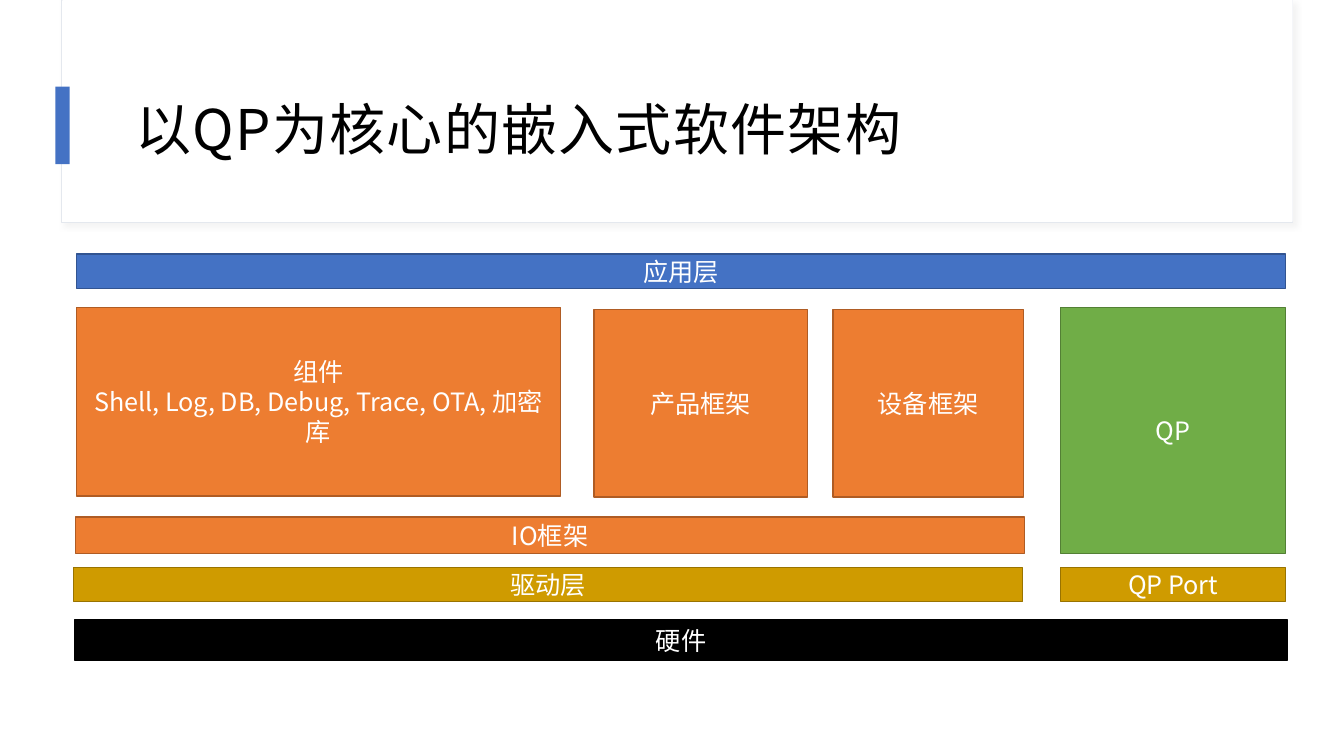
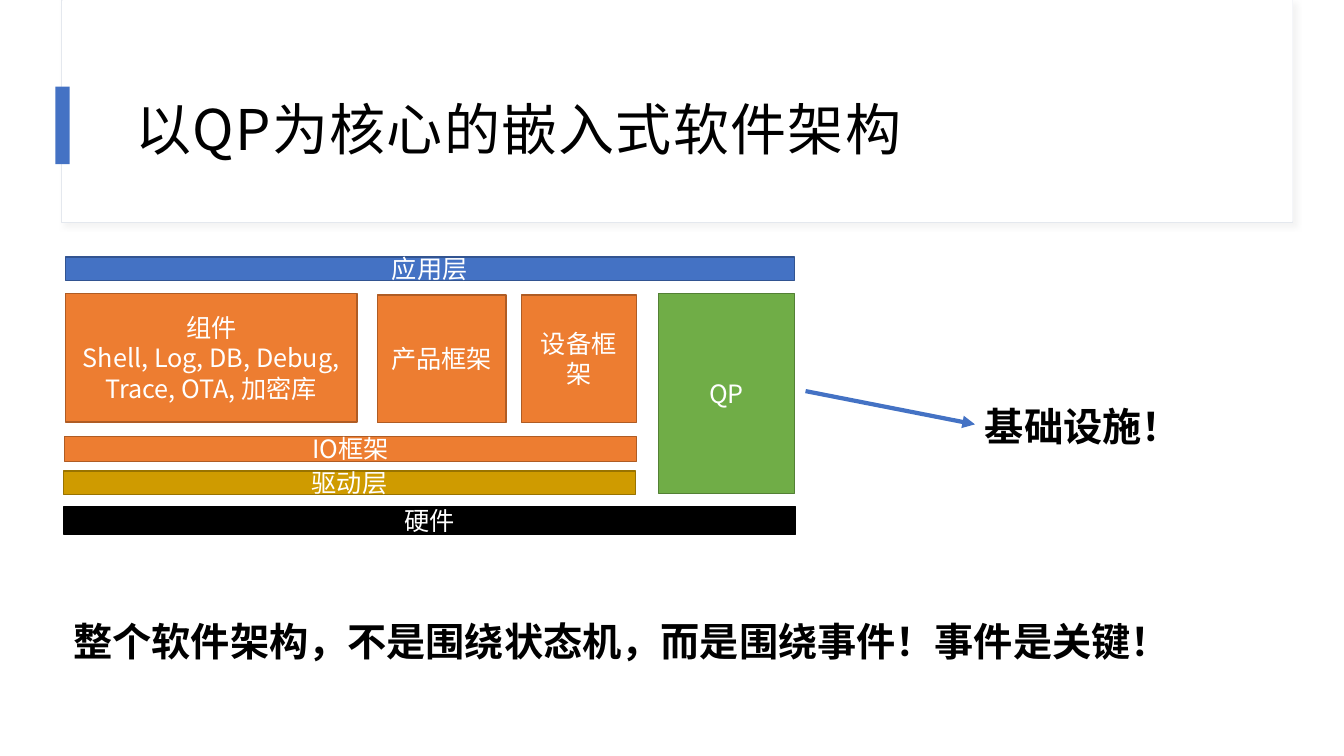
from lxml.etree import SubElement
from pptx import Presentation
from pptx.dml.color import RGBColor
from pptx.enum.shapes import MSO_CONNECTOR as Connector, MSO_SHAPE as Shape
from pptx.enum.text import MSO_ANCHOR as Anchor, MSO_AUTO_SIZE as AutoSize, PP_ALIGN as Align
from pptx.oxml.ns import qn
from pptx.util import Inches, Pt

FONT = "Noto Sans CJK SC"
TITLE = "以QP为核心的嵌入式软件架构"
WHITE, BLACK, BLUE = "FFFFFF", "000000", "4472C4"
APP, CORE = (BLUE, "325491"), ("70AD47", "538035")
FRAME, DRIVER, HARDWARE = ("ED7D31", "AF5C24"), ("CF9B00", "997300"), (BLACK, BLACK)

LABEL = {"size": Pt(18), "color": WHITE}
HEADING = {"size": Pt(40), "color": BLACK}
CALLOUT = {"size": Pt(28), "color": BLACK, "bold": True}

DIAGRAM_SIZE = (12.04, 4.03)
CORE_BLOCK = (9.79, 0.53, 2.23, 2.44)
TALL_CORE_BLOCK = (9.79, 0.53, 2.23, 2.91)
PORT_BLOCK = (9.79, 3.11, 2.23, 0.34)
LAYERS = [
    ("应用层", APP, (0.03, 0, 11.99, 0.34)),
    ("驱动层", DRIVER, (0, 3.11, 9.41, 0.34)),
    ("硬件", HARDWARE, (0.01, 3.63, 12.03, 0.4)),
    ("IO框架", FRAME, (0.02, 2.61, 9.41, 0.36)),
    ("组件\nShell, Log, DB, Debug, Trace, OTA, 加密库", FRAME, (0.03, 0.53, 4.8, 1.87)),
    ("设备框架", FRAME, (7.53, 0.55, 1.89, 1.86)),
    ("产品框架", FRAME, (5.16, 0.55, 2.12, 1.86)),
]


def rgb(code):
    """Turn a hex string into a colour."""
    return RGBColor.from_string(code)


def write(frame, text, style, align=Align.LEFT, line_spacing=None):
    """Fill a text frame with one styled paragraph per line of text."""
    frame.word_wrap = True
    for index, line in enumerate(text.split("\n")):
        para = frame.paragraphs[0] if index == 0 else frame.add_paragraph()
        para.alignment, para.line_spacing = align, line_spacing
        span = para.add_run()
        span.text = line
        for name, value in {"name": FONT, **style}.items():
            if name == "color":
                span.font.color.rgb = rgb(value)
            else:
                setattr(span.font, name, value)
        SubElement(span.font._element, qn("a:ea"), typeface=FONT)
    return frame


def add_block(shapes, box, fill, line=None, width=1):
    """Add a flat rectangle with an optional outline."""
    block = shapes.add_shape(Shape.RECTANGLE, *map(Inches, box))
    block.shadow.inherit = False
    block.fill.solid()
    block.fill.fore_color.rgb = rgb(fill)
    if line:
        block.line.color.rgb = rgb(line)
        block.line.width = Pt(width)
    else:
        block.line.fill.background()
    return block


def add_shadow(block):
    """Give a block a soft grey shadow to the lower right."""
    effects = block._element.spPr.find(qn("a:effectLst"))
    shadow = SubElement(effects, qn("a:outerShdw"), blurRad=str(Pt(4)), dist=str(Pt(3)),
                        dir="2700000", algn="tl", rotWithShape="0")
    color = SubElement(shadow, qn("a:srgbClr"), val="D9D9D9")
    SubElement(color, qn("a:alpha"), val="30000")


def add_text(page, box, text, style):
    """Add a text box that grows with its text."""
    frame = page.shapes.add_textbox(*map(Inches, box)).text_frame
    write(frame, text, style).auto_size = AutoSize.SHAPE_TO_FIT_TEXT


def add_title_band(page, box):
    """Draw the framed title band with its accent bar."""
    left, top, width, height = box
    add_shadow(add_block(page.shapes, box, WHITE, "E4E8EE", 0.75))
    add_block(page.shapes, (left + 0.01, top, width - 0.01, height - 0.01), WHITE)
    add_block(page.shapes, (left - 0.06, top + 0.86, 0.14, 0.77), BLUE)
    title_box = (left + 0.61, top + 0.6, width - 1.09, 1.29)
    frame = page.shapes.add_textbox(*map(Inches, title_box)).text_frame
    insets = {"left": 0.12, "top": 0.12, "right": 0.12, "bottom": 0.1}
    for side, inset in insets.items():
        setattr(frame, f"margin_{side}", Inches(inset))
    frame.vertical_anchor = Anchor.MIDDLE
    write(frame, TITLE, HEADING, line_spacing=1.05)
    frame.paragraphs[0].runs[0].font._element.set("spc", "100")


def add_diagram(shapes, box, blocks):
    """Draw the architecture blocks scaled into a box."""
    left, top, width, height = box
    scale_x, scale_y = width / DIAGRAM_SIZE[0], height / DIAGRAM_SIZE[1]
    for text, (fill, line), (x, y, w, h) in blocks:
        place = (left + x * scale_x, top + y * scale_y, w * scale_x, h * scale_y)
        block = add_block(shapes, place, fill, line)
        block.text_frame.vertical_anchor = Anchor.MIDDLE
        write(block.text_frame, text, LABEL, Align.CENTER)


def add_arrow(page, start, end):
    """Draw a blue arrow between two points."""
    arrow = page.shapes.add_connector(Connector.STRAIGHT, *map(Inches, start + end))
    arrow.line.color.rgb = rgb(BLUE)
    arrow.line.width = Pt(3)
    SubElement(arrow.line._get_or_add_ln(), qn("a:tailEnd"), type="triangle")
    SubElement(arrow._element.spPr, qn("a:effectLst"))


def add_page(deck):
    """Add a blank page with the shared title band."""
    page = deck.slides.add_slide(deck.slide_layouts[6])
    add_title_band(page, (0.61, 0, 12.21, 2.21))
    return page


def add_architecture_page(deck):
    """Show the full-width architecture."""
    page = add_page(deck)
    blocks = [("QP", CORE, CORE_BLOCK), *LAYERS, ("QP Port", DRIVER, PORT_BLOCK)]
    add_diagram(page.shapes, (0.73, 2.52, *DIAGRAM_SIZE), blocks)


def add_summary_page(deck):
    """Show the small architecture with its callout and conclusion."""
    page = add_page(deck)
    group = page.shapes.add_group_shape()
    add_diagram(group.shapes, (0.63, 2.55, 7.26, 2.75), [("QP", CORE, TALL_CORE_BLOCK), *LAYERS])
    add_arrow(page, (7.99, 3.88), (9.67, 4.21))
    add_text(page, (9.67, 3.94, 2.17, 0.57), "基础设施！", CALLOUT)
    add_text(page, (0.63, 6.08, 11.42, 0.57),
             "整个软件架构，不是围绕状态机，而是围绕事件！事件是关键！", CALLOUT)


def main():
    """Build and save the deck."""
    deck = Presentation()
    deck.slide_width, deck.slide_height = Inches(13.33), Inches(7.5)
    add_architecture_page(deck)
    add_summary_page(deck)
    deck.save("out.pptx")


if __name__ == "__main__":
    main()
